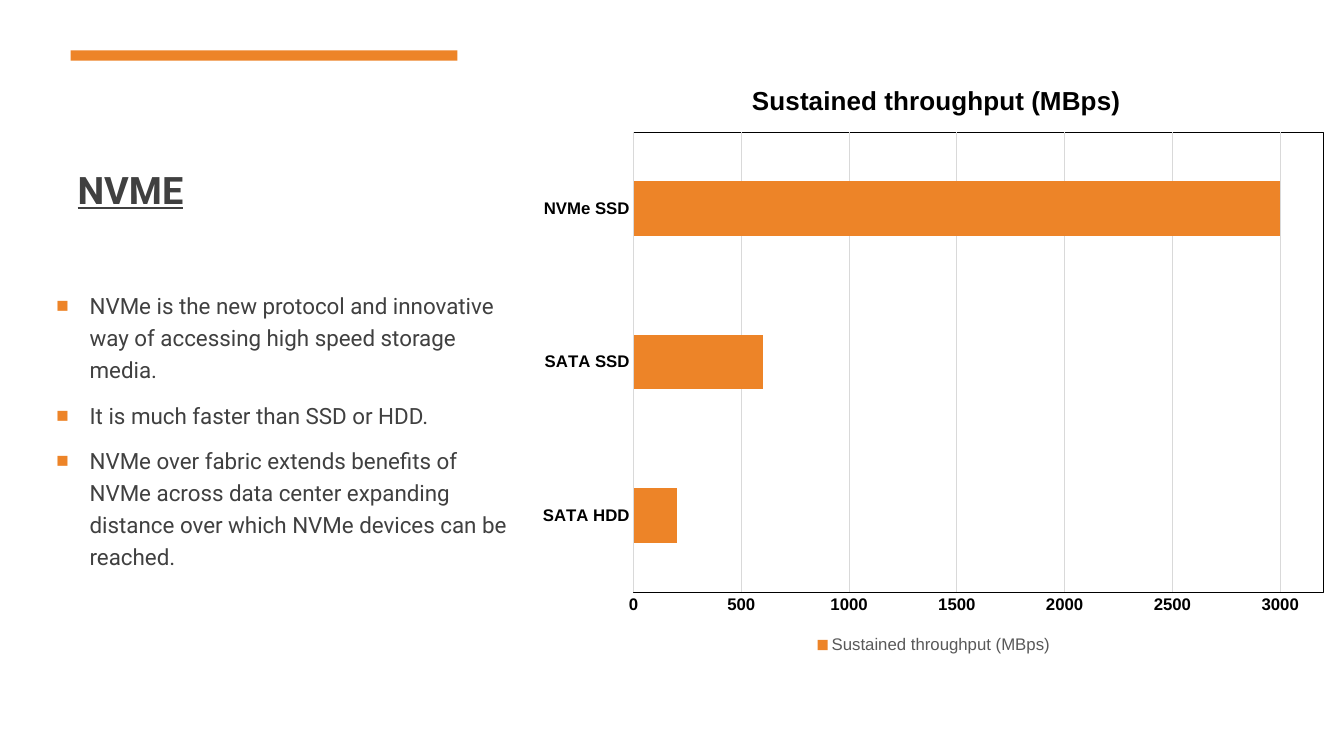
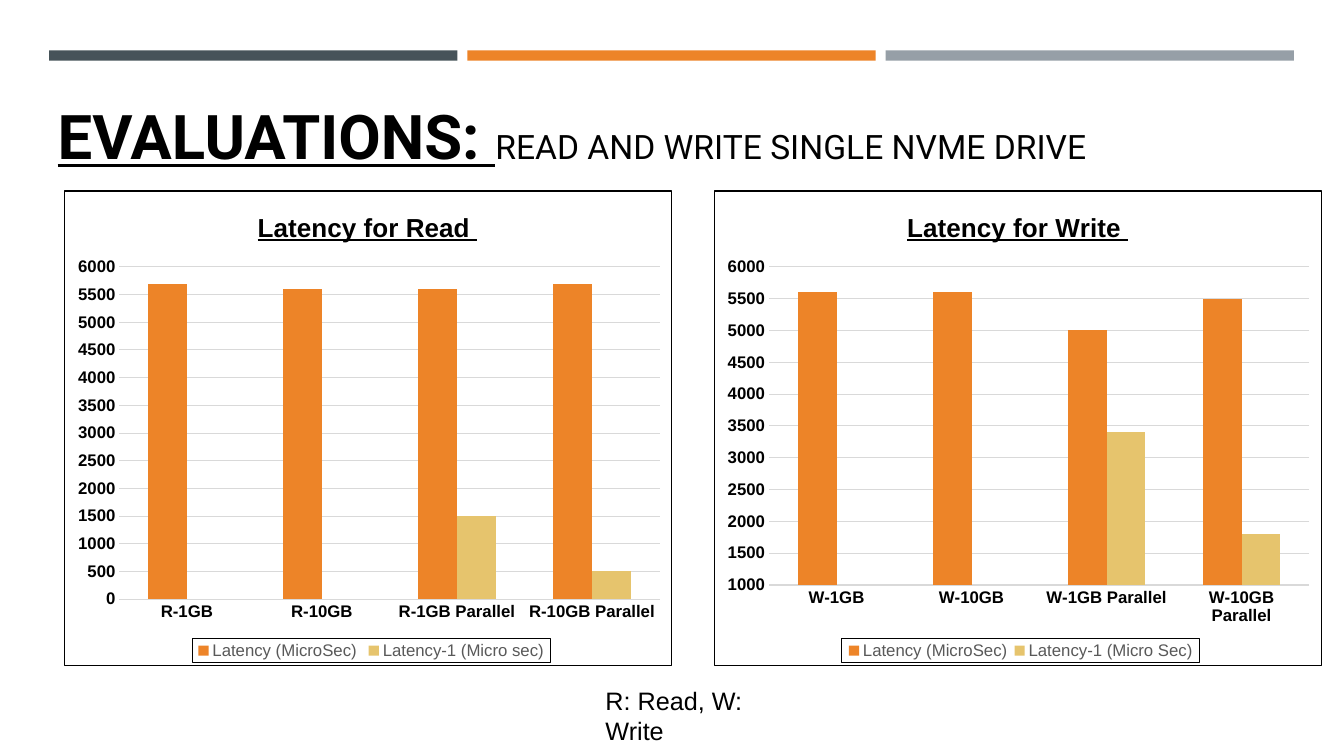
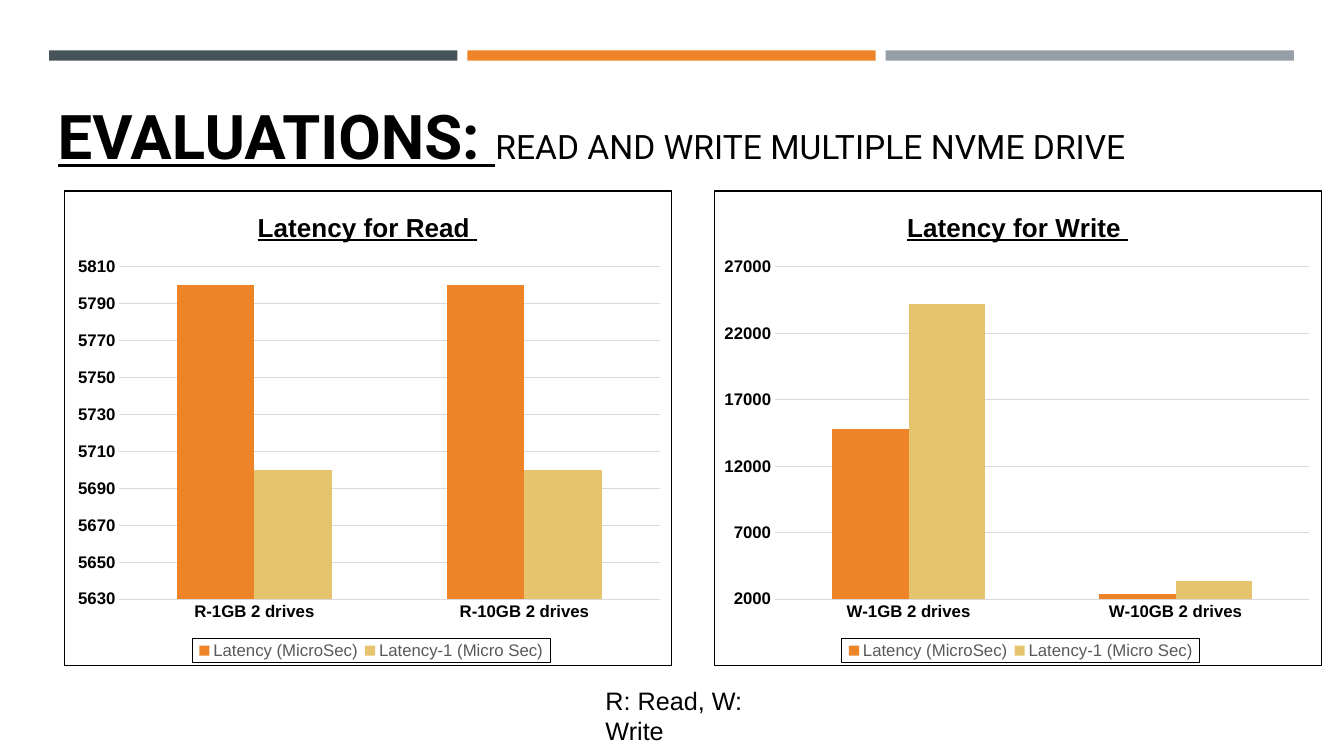
from lxml import etree
from pptx import Presentation
from pptx import util as u
from pptx.chart.data import CategoryChartData
from pptx.dml.color import RGBColor
from pptx.enum import chart as ch, shapes, text
from pptx.oxml import parse_xml
from pptx.oxml.ns import nsdecls, qn

COLORS = {
    "black": "000000", "text": "404040", "muted": "595959", "grid": "D9D9D9",
    "slate": "465359", "orange": "ED8428", "gray": "969FA7", "sand": "E6C46D",
}
HEAD, BODY = "Roboto", "Arial"


def rgb(name):
    return RGBColor.from_string(COLORS[name])


def set_font(font, name, size, color, bold=False, underline=False):
    font.name, font.size, font.color.rgb = name, u.Pt(size), rgb(color)
    font.bold, font.underline = bold, underline


def frame_xml(line=None):
    """Unfilled chart frame, with a thin line if a colour is named."""
    paint = (f'<a:solidFill><a:srgbClr val="{COLORS[line]}"/></a:solidFill>'
             if line else "<a:noFill/>")
    return parse_xml(f'<c:spPr {nsdecls("c", "a")}><a:noFill/>'
                     f'<a:ln w="9525">{paint}</a:ln></c:spPr>')


def set_layout(parent, index, inner=False, **box):
    """Give a chart part a manual layout, as fractions of the chart."""
    for old in parent.findall(qn("c:layout")):
        parent.remove(old)
    layout = parse_xml(f'<c:layout {nsdecls("c")}><c:manualLayout/></c:layout>')
    values = {"layoutTarget": "inner"} if inner else {}
    values.update(xMode="edge", yMode="edge", **box)
    for tag, value in values.items():
        etree.SubElement(layout[0], qn(f"c:{tag}")).set("val", str(value))
    parent.insert(index, layout)


class Deck:
    def __init__(self):
        self.prs = Presentation()
        self.prs.slide_width, self.prs.slide_height = u.Cm(33.87), u.Cm(19.05)
        self.s = None

    def new_slide(self):
        self.s = self.prs.slides.add_slide(self.prs.slide_layouts[5])

    def title(self, box, runs):
        """Runs are (text, size, colour, bold and underlined)."""
        sp = self.s.shapes.title
        sp.left, sp.top, sp.width, sp.height = map(u.Cm, box)
        tf = sp.text_frame
        tf.auto_size = text.MSO_AUTO_SIZE.NONE
        tf.vertical_anchor = text.MSO_ANCHOR.BOTTOM
        p = tf.paragraphs[0]
        p.alignment, p.line_spacing = text.PP_ALIGN.LEFT, 0.9
        for words, size, color, strong in runs:
            r = p.add_run()
            r.text = words
            set_font(r.font, HEAD, size, color, strong, strong)

    def band(self, left, width, color):
        sp = self.s.shapes.add_shape(shapes.MSO_SHAPE.RECTANGLE, u.Cm(left),
                                     u.Cm(1.27), u.Cm(width), u.Cm(0.26))
        sp.shadow.inherit = False
        sp.fill.solid()
        sp.fill.fore_color.rgb = rgb(color)
        sp.line.fill.background()

    def text_box(self, box):
        tf = self.s.shapes.add_textbox(*map(u.Cm, box)).text_frame
        tf.word_wrap = True
        return tf

    def bullets(self, box, items):
        tf = self.text_box(box)
        tf.vertical_anchor = text.MSO_ANCHOR.MIDDLE
        for i, item in enumerate(items):
            p = tf.add_paragraph() if i else tf.paragraphs[0]
            p.text = item
            p.line_spacing = 1.2
            p.space_before, p.space_after = u.Pt(3.2), u.Pt(6)
            pPr = p._p.get_or_add_pPr()
            pPr.set("marL", str(u.Cm(0.84)))
            pPr.set("indent", str(-u.Cm(0.84)))
            marks = parse_xml(
                f'<a:pPr {nsdecls("a")}>'
                f'<a:buClr><a:srgbClr val="{COLORS["orange"]}"/></a:buClr>'
                '<a:buSzPct val="92000"/><a:buFont typeface="Arial"/>'
                '<a:buChar char="■"/></a:pPr>')
            pPr.extend(list(marks))
            set_font(p.font, HEAD, 16, "text")

    def note(self, box, words):
        p = self.text_box(box).paragraphs[0]
        p.text = words
        set_font(p.font, BODY, 18, "black")

    def chart(self, kind, box, title, cats, series, scale, plot, title_at,
              gap=150, underline=False, border=None, plot_line=None,
              legend_box=None):
        """Scale is (min, max, major); plot is the inner plot area."""
        data = CategoryChartData()
        data.categories = cats
        for name, values in series:
            data.add_series(name, values)
        chart = self.s.shapes.add_chart(kind, *map(u.Cm, box), data).chart
        set_font(chart.font, BODY, 10, "black")

        # Title
        chart.has_title = True
        p = chart.chart_title.text_frame.paragraphs[0]
        r = p.add_run()
        r.text = title
        set_font(r.font, BODY, 18.6, "black", True, underline)

        # Bars
        bars = chart.plots[0]
        bars.gap_width, bars.overlap, bars.vary_by_categories = gap, 0, False
        for ser, color in zip(bars.series, ("orange", "sand")):
            ser.format.fill.solid()
            ser.format.fill.fore_color.rgb = rgb(color)
            ser.invert_if_negative = False

        # Axes
        cat, val = chart.category_axis, chart.value_axis
        for axis in (cat, val):
            axis.major_tick_mark = axis.minor_tick_mark = ch.XL_TICK_MARK.NONE
            set_font(axis.tick_labels.font, BODY, 12, "black", True)
        cat.has_major_gridlines, val.has_major_gridlines = False, True
        for line in (cat.format.line, val.major_gridlines.format.line):
            line.color.rgb, line.width = rgb("grid"), u.Pt(0.75)
        val.format.line.fill.background()
        val.minimum_scale, val.maximum_scale, val.major_unit = scale

        # Legend
        chart.has_legend = True
        chart.legend.position = ch.XL_LEGEND_POSITION.BOTTOM
        chart.legend.include_in_layout = False
        set_font(chart.legend.font, BODY, 12, "muted")

        # Frames and places
        root = chart.element.find(qn("c:chart"))
        area, legend = root.find(qn("c:plotArea")), root.find(qn("c:legend"))
        root.addnext(frame_xml(border))
        area.append(frame_xml(plot_line))
        legend.find(qn("c:txPr")).addprevious(frame_xml(border))
        set_layout(area, 0, True, **dict(zip("xywh", plot)))
        set_layout(root.find(qn("c:title")), 1, **dict(zip("xy", title_at)))
        if legend_box:
            set_layout(legend, 1, **dict(zip("xywh", legend_box)))

    def evaluation(self, subject, charts):
        """Three bands, a two-part title, two latency charts and a note."""
        self.new_slide()
        for i, color in enumerate(("slate", "orange", "gray")):
            self.band(1.24 + i * 10.54, 10.29, color)
        self.title((1.2, 1.14, 30.63, 3.33),
                   [("EVALUATIONS: ", 44, "black", True),
                    (subject, 24, "black", False)])
        for i, (word, spec) in enumerate(zip(("Read", "Write"), charts)):
            self.chart(ch.XL_CHART_TYPE.COLUMN_CLUSTERED,
                       (1.62 + i * 16.37, 4.8, 15.32, 11.99),
                       f"Latency for {word} ", title_at=(0.31, 0.03),
                       underline=True, border="black",
                       legend_box=(0.21, 0.95, 0.59, 0.05), **spec)
        self.note((15.01, 17.15, 5.49, 1.02), "R: Read, W: Write")


def latency(first, second, unit="Sec"):
    return [("Latency (MicroSec)", first), (f"Latency-1 (Micro {unit})", second)]


def cases(letter, *kinds):
    return [f"{letter}-{size}{kind}" for kind in kinds for size in ("1GB", "10GB")]


def main():
    deck = Deck()

    # NVMe overview
    deck.new_slide()
    deck.band(1.78, 9.75, "orange")
    deck.title((1.7, 1.96, 9.91, 3.53), [("NVME", 27, "text", True)])
    deck.bullets((1.17, 5.76, 12.01, 10.08), [
        "NVMe is the new protocol and innovative way of accessing high speed "
        "storage media.",
        "It is much faster than SSD or HDD.",
        "NVMe over fabric extends benefits of NVMe across data center expanding "
        "distance over which NVMe devices can be reached.",
    ])
    name = "Sustained throughput (MBps)"
    deck.chart(ch.XL_CHART_TYPE.BAR_CLUSTERED, (13.31, 1.52, 20.45, 15.06), name,
               ["SATA HDD", "SATA SSD", "NVMe SSD"], [(name, (200, 600, 3000))],
               (0, 3200, 500), (0.13, 0.12, 0.85, 0.77), (0.27, 0.03),
               gap=182, plot_line="black")

    # Single drive
    deck.evaluation("READ AND WRITE SINGLE NVME DRIVE", [
        dict(cats=cases("R", "", " Parallel"), scale=(0, 6000, 500),
             series=latency((5700, 5600, 5600, 5700), (None, None, 1500, 500), "sec"),
             plot=(0.09, 0.16, 0.89, 0.7)),
        dict(cats=cases("W", "", " Parallel"), scale=(1000, 6000, 500),
             series=latency((5600, 5600, 5000, 5500), (None, None, 3400, 1800)),
             plot=(0.09, 0.16, 0.89, 0.67)),
    ])

    # Multiple drives
    deck.evaluation("READ AND WRITE MULTIPLE NVME DRIVE", [
        dict(cats=cases("R", " 2 drives"), scale=(5630, 5810, 20),
             series=latency((5800, 5800), (5700, 5700)),
             plot=(0.09, 0.16, 0.89, 0.7)),
        dict(cats=cases("W", " 2 drives"), scale=(2000, 27000, 5000),
             series=latency((14800, 2400), (24200, 3400)),
             plot=(0.1, 0.16, 0.88, 0.7)),
    ])
    deck.prs.save("out.pptx")


if __name__ == "__main__":
    main()
